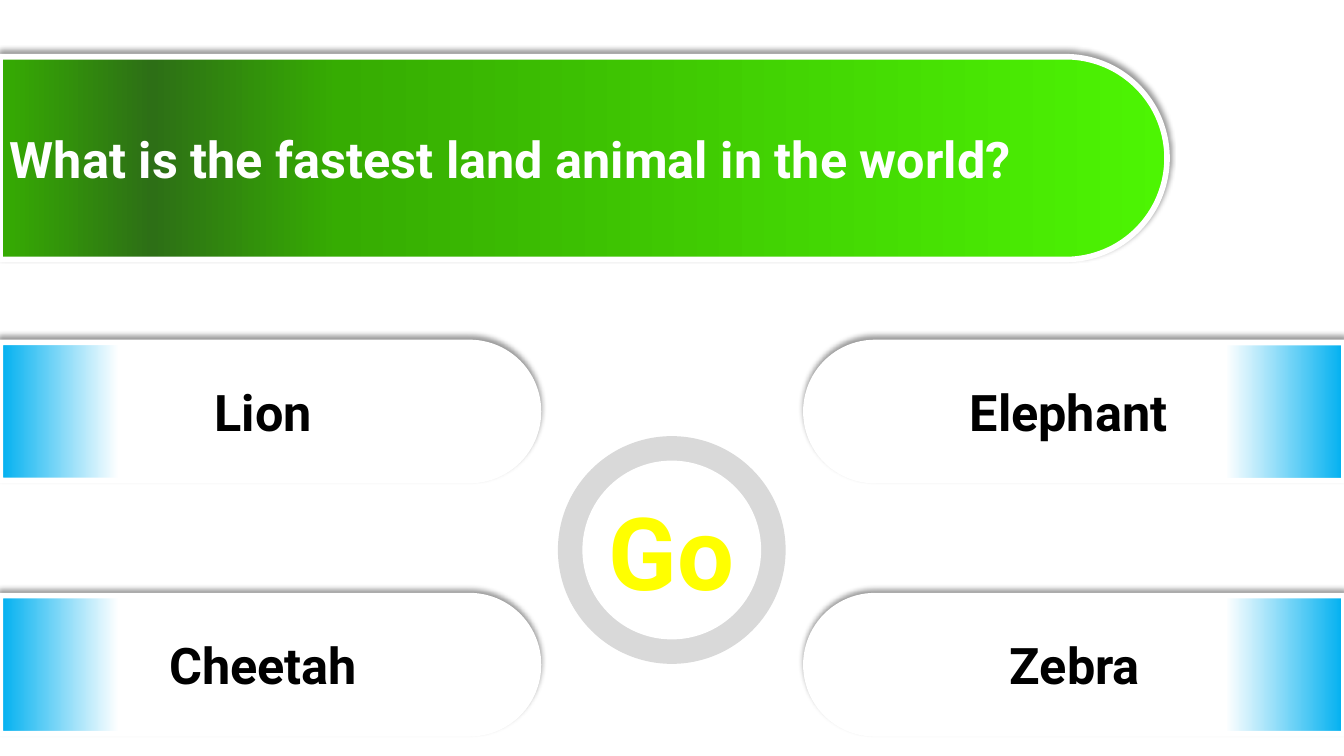
from pptx import Presentation
from pptx.dml.color import RGBColor
from pptx.enum.shapes import MSO_SHAPE
from pptx.enum.text import MSO_ANCHOR, PP_ALIGN
from pptx.oxml import parse_xml
from pptx.oxml.ns import nsdecls, qn
from pptx.util import Cm, Pt

BAR = MSO_SHAPE.ROUND_2_SAME_RECTANGLE
ROUNDED = MSO_SHAPE.ROUNDED_RECTANGLE
LEFT, CENTER = PP_ALIGN.LEFT, PP_ALIGN.CENTER
MIDDLE = MSO_ANCHOR.MIDDLE

FONT = "Roboto"
LABEL_HEIGHT = 1.8
COLORS = {
    "white": "FFFFFF", "black": "000000", "ring": "D9D9D9",
    "lime": "4DF503", "green": "36AC02", "forest": "2D6F16", "sky": "00B0F0",
    "red": "FF0000", "yellow": "FFFF00", "orange": "E08000",
    "amber": "FFC000", "crimson": "C00000",
}
QUESTION_STOPS = [(0, "lime"), (71, "green"), (87, "forest"), (100, "green")]
ANSWER_STOPS = [(30, "white"), (78, "white"), (100, "sky")]
GO_STOPS = [(0, "red"), (70, "yellow"), (70, "orange"), (70, "amber")]


def rgb(color):
    """Return the named colour as an RGBColor."""
    return RGBColor.from_string(COLORS[color])


def paint_gradient(fill, properties, stops):
    """Give a shape or font a top-to-bottom gradient."""
    fill.gradient()
    stop_xml = "".join(
        f'<a:gs pos="{percent * 1000}"><a:srgbClr val="{COLORS[color]}"/></a:gs>'
        for percent, color in stops)
    gradient = parse_xml(
        f'<a:gradFill {nsdecls("a")} rotWithShape="1"><a:gsLst>{stop_xml}</a:gsLst>'
        '<a:lin ang="5400000" scaled="0"/></a:gradFill>')
    properties.replace(properties.find(qn("a:gradFill")), gradient)


def add_upper_shadow(shape):
    """Cast a soft shadow above the shape."""
    shape.shadow.inherit = False
    effects = shape._element.spPr.find(qn("a:effectLst"))
    effects.append(parse_xml(
        f'<a:outerShdw {nsdecls("a")} blurRad="{Pt(4)}" dist="{Pt(3)}" '
        'dir="16200000" rotWithShape="0"><a:srgbClr val="000000">'
        '<a:alpha val="40000"/></a:srgbClr></a:outerShdw>'))


def add_text(slide, text, left, top, width, height, *, size=36,
             color="black", align=CENTER, stops=None, outline=None):
    """Add one bold line of text in a box."""
    frame = slide.shapes.add_textbox(
        Cm(left), Cm(top), Cm(width), Cm(height)).text_frame
    frame.word_wrap = True
    frame.vertical_anchor = MIDDLE
    paragraph = frame.paragraphs[0]
    paragraph.alignment = align
    run = paragraph.add_run()
    run.text = text
    font = run.font
    font.name, font.size, font.bold = FONT, Pt(size), True
    properties = run._r.get_or_add_rPr()
    if stops:
        paint_gradient(font.fill, properties, stops)
    else:
        font.color.rgb = rgb(color)
    if outline:
        properties.insert(0, parse_xml(
            f'<a:ln {nsdecls("a")} w="{Pt(2.25)}"><a:solidFill>'
            f'<a:srgbClr val="{COLORS[outline]}"/></a:solidFill></a:ln>'))


def add_bar(slide, left, top, length, thickness, rotation, stops):
    """Add a bar with one round end, turned to lie sideways."""
    shift = (length - thickness) / 2
    bar = slide.shapes.add_shape(
        BAR, Cm(left + shift), Cm(top - shift), Cm(thickness), Cm(length))
    bar.adjustments[0], bar.adjustments[1] = 0.5, 0
    bar.rotation = rotation
    paint_gradient(bar.fill, bar._element.spPr, stops)
    bar.line.color.rgb = rgb("white")
    bar.line.width = Pt(4)
    add_upper_shadow(bar)


def add_disc(slide, center_x, center_y, diameter, color, line_width):
    """Add a plain round disc around a centre."""
    radius = diameter / 2
    disc = slide.shapes.add_shape(
        ROUNDED, Cm(center_x - radius), Cm(center_y - radius),
        Cm(diameter), Cm(diameter))
    disc.adjustments[0] = 0.5
    disc.shadow.inherit = False
    disc.fill.solid()
    disc.fill.fore_color.rgb = rgb(color)
    disc.line.color.rgb = rgb(color)
    disc.line.width = Pt(line_width)


def add_banner(slide, text, left, top, length, thickness, rotation, stops,
               **text_format):
    """Add a bar with its text centred on its height."""
    add_bar(slide, left, top, length, thickness, rotation, stops)
    add_text(slide, text, left, top + (thickness - LABEL_HEIGHT) / 2,
             length, LABEL_HEIGHT, **text_format)


def main():
    """Build the quiz slide and save it."""
    deck = Presentation()
    deck.slide_width, deck.slide_height = Cm(33.87), Cm(19.05)
    slide = deck.slides.add_slide(deck.slide_layouts[6])

    add_banner(slide, "What is the fastest land animal in the world?",
               0, 1.43, 29.41, 5.11, 90, QUESTION_STOPS,
               color="white", align=LEFT)

    answer_columns = [(0.01, 90), (20.31, 270)]
    answer_rows = [("Lion ", "Elephant "), ("Cheetah ", "Zebra")]
    for row, answers in enumerate(answer_rows):
        for answer, (left, rotation) in zip(answers, answer_columns):
            add_banner(slide, answer, left, 8.63 + row * 6.38, 13.56, 3.48,
                       rotation, ANSWER_STOPS)

    go_x, go_y = 16.93, 13.86
    add_disc(slide, go_x, go_y, 5.66, "ring", 2.25)
    add_disc(slide, go_x, go_y, 4.4, "white", 3)
    add_text(slide, "Go", go_x - 2.12, go_y - 1.67, 4.24, 3.33, size=72,
             stops=GO_STOPS, outline="crimson")

    deck.save("out.pptx")


main()
